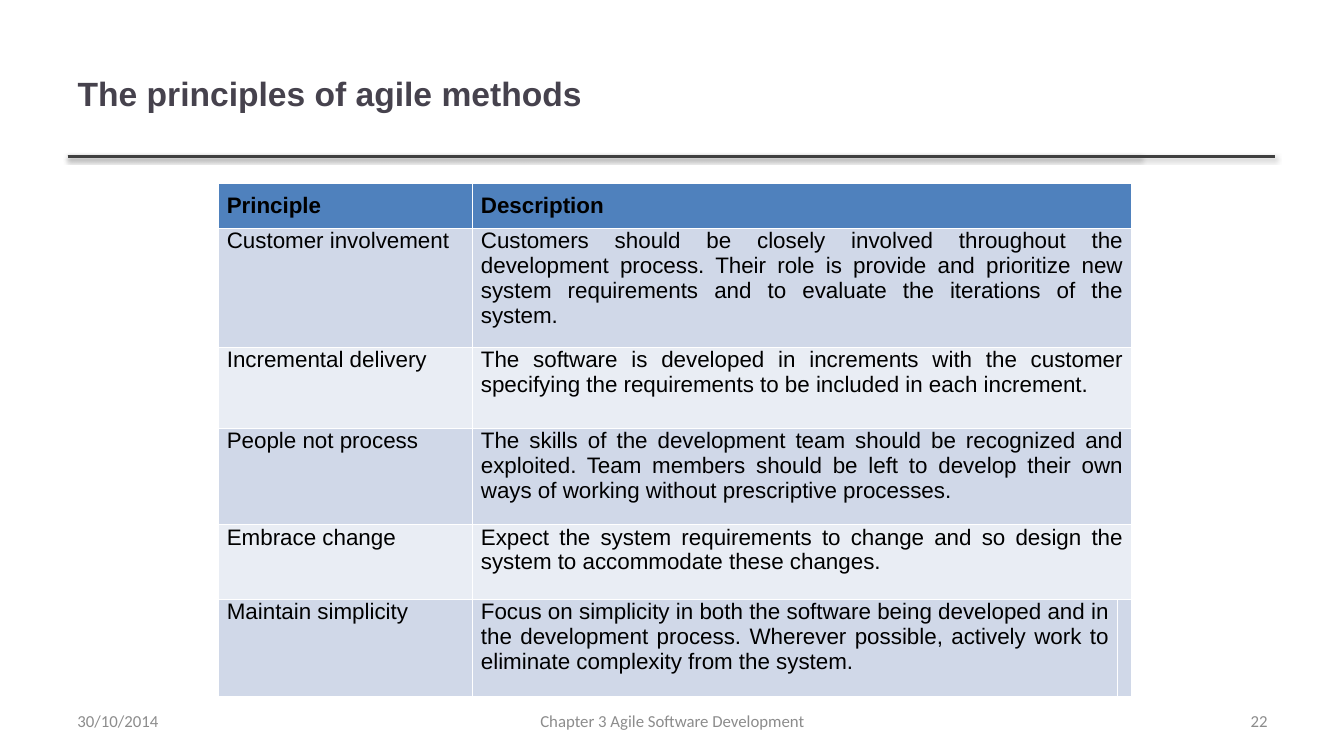
import pptx
import pptx.dml.color
import pptx.enum.shapes
import pptx.enum.text
import pptx.oxml
import pptx.oxml.ns
import pptx.util

Inches = pptx.util.Inches
Pt = pptx.util.Pt
RGBColor = pptx.dml.color.RGBColor
Align = pptx.enum.text.PP_ALIGN
Anchor = pptx.enum.text.MSO_ANCHOR

INK = RGBColor(0x46, 0x42, 0x4D)
RULE = RGBColor(0x40, 0x40, 0x40)
GREY = RGBColor(0x8C, 0x8C, 0x8C)
BLACK = RGBColor(0, 0, 0)
HEAD = RGBColor(0x4F, 0x81, 0xBD)
BANDS = [RGBColor(0xE9, 0xED, 0xF4), RGBColor(0xD0, 0xD8, 0xE8)]

SHADOW = (
    f'<a:effectLst {pptx.oxml.ns.nsdecls("a")}>'
    '<a:outerShdw blurRad="39370" dist="20320" dir="5400000" rotWithShape="0">'
    '<a:srgbClr val="000000"><a:alpha val="38000"/></a:srgbClr>'
    '</a:outerShdw></a:effectLst>'
)


def style(para, face, size, color, align, bold=False):
    para.alignment = align
    para.font.name = face
    para.font.size = Pt(size)
    para.font.color.rgb = color
    para.font.bold = bold


deck = pptx.Presentation()
deck.slide_width = Inches(13.33)
deck.slide_height = Inches(7.5)
slide = deck.slides.add_slide(deck.slide_layouts[5])
shapes = slide.shapes

# Title and the double rule below it
title = shapes.title
title.left, title.top = Inches(0.67), Inches(0.3)
title.width, title.height = Inches(10.63), Inches(1.25)
title.text_frame.text = "The principles of agile methods"
title.text_frame.vertical_anchor = Anchor.MIDDLE
style(title.text_frame.paragraphs[0], "Arial", 24, INK, Align.LEFT, True)

for end in (11.32, 12.65):
    rule = shapes.add_connector(
        pptx.enum.shapes.MSO_CONNECTOR.STRAIGHT,
        Inches(0.67), Inches(1.55), Inches(end), Inches(1.55))
    rule.line.color.rgb = RULE
    rule.line.width = Pt(2)
    rule._element.spPr.append(pptx.oxml.parse_xml(SHADOW))

# Table of principles
rows = [
    (0.44, "Principle", "Description"),
    (1.18, "Customer involvement",
     "Customers should be closely involved throughout the development process. "
     "Their role is provide and prioritize new system requirements and to "
     "evaluate the iterations of the system."),
    (0.8, "Incremental delivery",
     "The software is developed in increments with the customer specifying "
     "the requirements to be included in each increment."),
    (0.96, "People not process",
     "The skills of the development team should be recognized and exploited. "
     "Team members should be left to develop their own ways of working without "
     "prescriptive processes."),
    (0.74, "Embrace change",
     "Expect the system requirements to change and so design the system to "
     "accommodate these changes."),
    (0.96, "Maintain simplicity",
     "Focus on simplicity in both the software being developed and in the "
     "development process. Wherever possible, actively work to eliminate "
     "complexity from the system."),
]
widths = [2.52, 6.39, 0.14]
table = shapes.add_table(
    len(rows), len(widths), Inches(2.17), Inches(1.82),
    Inches(sum(widths)), Inches(sum(row[0] for row in rows))).table
for col, width in zip(table.columns, widths):
    col.width = Inches(width)

for r, (height, *texts) in enumerate(rows):
    table.rows[r].height = Inches(height)
    for cell in table.rows[r].cells:
        cell.fill.solid()
        cell.fill.fore_color.rgb = BANDS[r % 2] if r else HEAD
        cell.margin_left = cell.margin_right = Inches(0.08)
        cell.margin_top = Inches(0 if r else 0.1)
        cell.margin_bottom = Inches(0.1)
    for c, text in enumerate(texts):
        cell = table.cell(r, c)
        cell.text = text
        style(cell.text_frame.paragraphs[0], "Arial", 16, BLACK,
              Align.JUSTIFY, r == 0)
    # The last row keeps its narrow third cell
    if r < len(rows) - 1:
        table.cell(r, 1).merge(table.cell(r, 2))
    else:
        table.cell(r, 2).margin_left = table.cell(r, 2).margin_right = 0

# Footer
for text, left, width, align in [
    ("30/10/2014", 0.67, 3.11, Align.LEFT),
    ("Chapter 3 Agile Software Development", 4.56, 4.22, Align.CENTER),
    ("22", 9.56, 3.11, Align.RIGHT),
]:
    box = shapes.add_textbox(Inches(left), Inches(6.95), Inches(width), Inches(0.4))
    frame = box.text_frame
    frame.word_wrap = True
    frame.vertical_anchor = Anchor.MIDDLE
    frame.text = text
    style(frame.paragraphs[0], "Calibri", 12, GREY, align)

deck.save("out.pptx")
